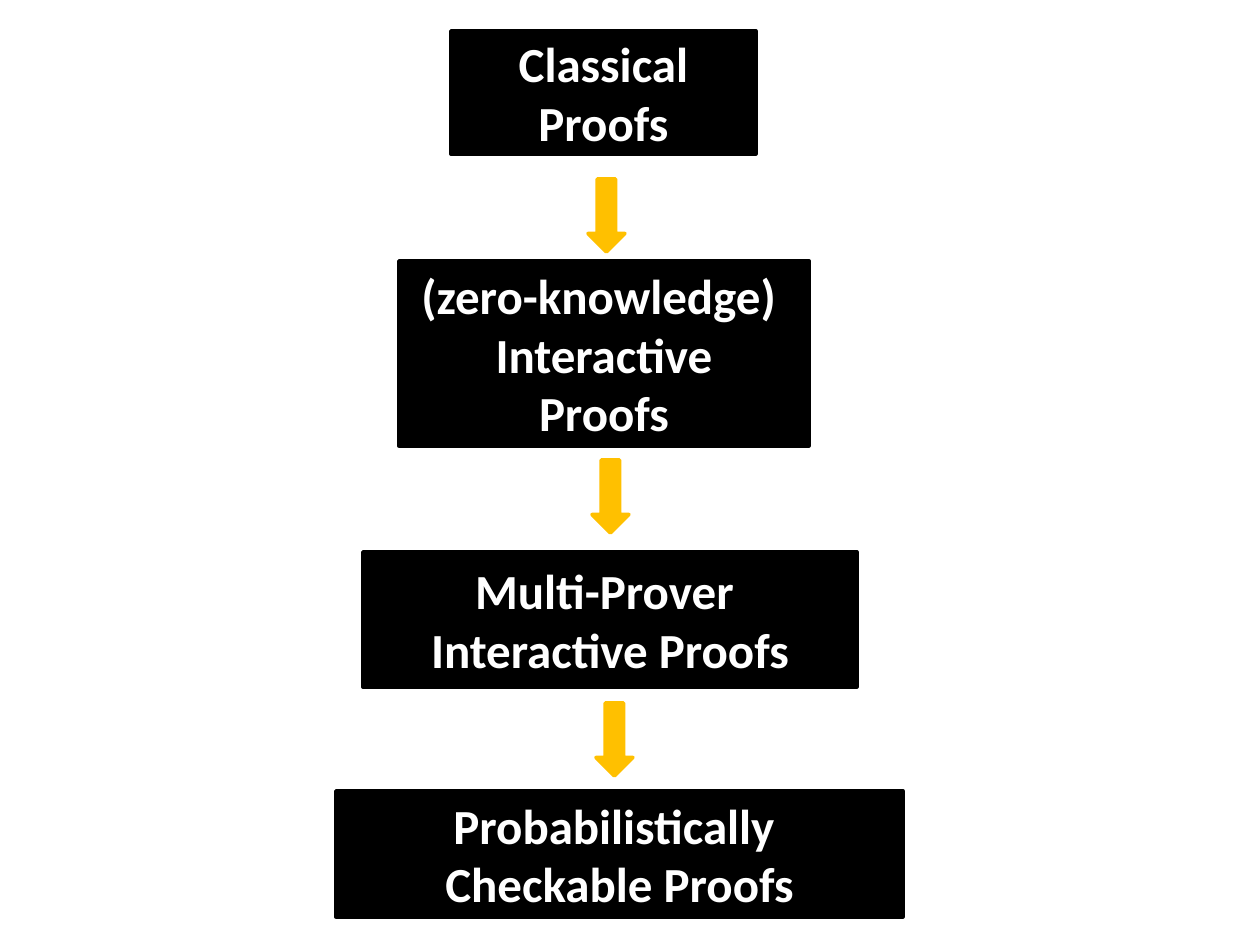
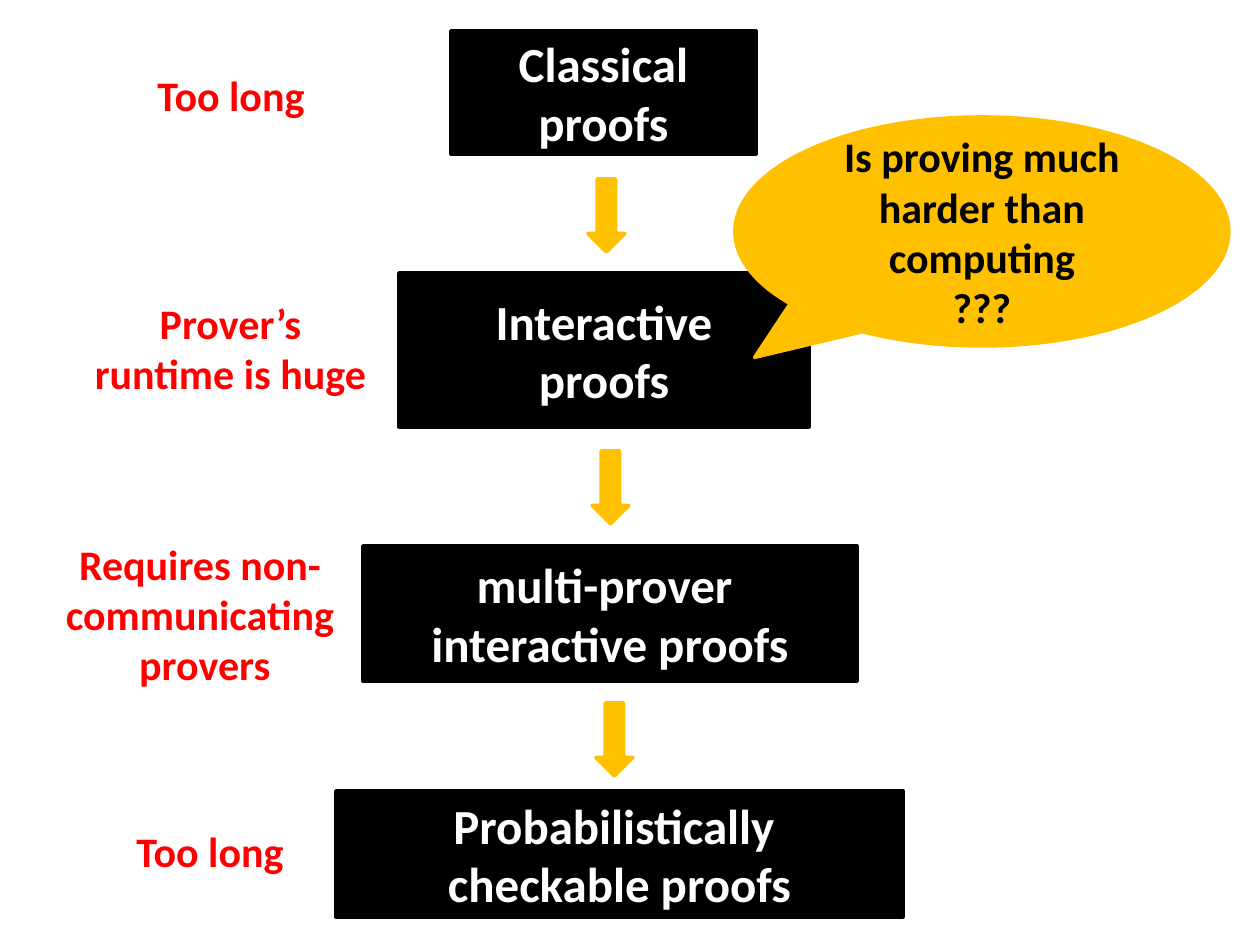
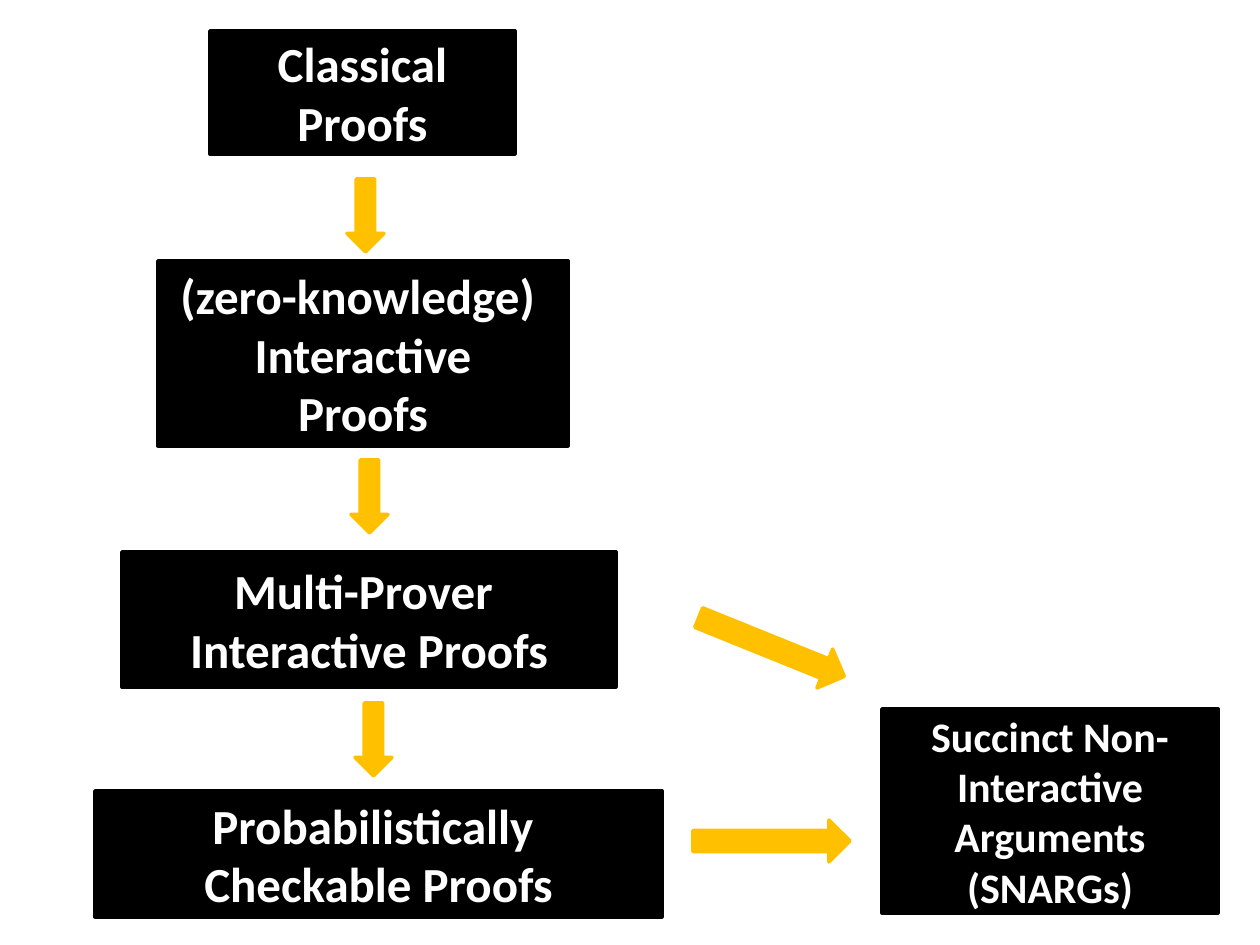
import pptx
import pptx.util
import pptx.dml.color
import pptx.enum.shapes
import pptx.enum.text

SCALE = 914400 // 126  # EMU per pixel
KIND = pptx.enum.shapes.MSO_SHAPE
BLACK, WHITE, GOLD, RED = "000000", "FFFFFF", "FFC000", "FF0000"

# Content: chain steps, top to bottom, one list of paragraphs each
TITLED = [
    ["Classical Proofs"],
    ["(zero-knowledge)  Interactive", "Proofs"],
    ["Multi-Prover ", "Interactive Proofs"],
    ["Probabilistically ", "Checkable Proofs"],
]
PLAIN = [
    ["Classical proofs"],
    ["Interactive", "proofs"],
    ["multi-prover ", "interactive proofs"],
    ["Probabilistically ", "checkable proofs"],
]
FLAWS = [
    ("Too long", (126, 63, 210, 63)),
    ("Prover\u2019s runtime is huge", (73, 291, 315, 115)),
    ("Requires non-communicating  provers", (53, 532, 294, 165)),
    ("Too long", (105, 819, 210, 63)),
]
DOUBT = ["Is proving much harder than computing", "???"]
SNARG = ["Succinct Non-Interactive Arguments", "(SNARGs)"]

# Layout: left and width of the steps, then top and height by version
SPANS = [(451, 305), (399, 410), (363, 494), (336, 567)]
TALL = [(31, 123), (261, 185), (552, 135), (791, 126)]
SHORT = [(31, 123), (273, 154), (546, 135), (791, 126)]
SHIFT = -241  # moves the chain left to make room for the last step


def paint(text):
    return pptx.dml.color.RGBColor.from_string(text)


def place(box):
    return [pptx.util.Emu(v * SCALE) for v in box]


def write(frame, lines, size, color):
    frame.word_wrap = True
    for i, line in enumerate(lines):
        para = frame.paragraphs[0] if i == 0 else frame.add_paragraph()
        para.text = line
        para.alignment = pptx.enum.text.PP_ALIGN.CENTER
        font = para.font
        font.name, font.bold = "Calibri", True
        font.size = pptx.util.Pt(size)
        font.color.rgb = paint(color)


def draw(slide, kind, box, fill, lines=(), size=28, color=WHITE):
    shape = slide.shapes.add_shape(kind, *place(box))
    shape.shadow.inherit = False
    shape.fill.solid()
    shape.fill.fore_color.rgb = paint(fill)
    shape.line.color.rgb = paint(fill)
    shape.line.width = pptx.util.Pt(2)
    shape.text_frame.vertical_anchor = pptx.enum.text.MSO_ANCHOR.MIDDLE
    write(shape.text_frame, lines, size, color)
    return shape


def chain(slide, steps, rows, drops, shift=0):
    for i, (lines, (x, w), (y, h)) in enumerate(zip(steps, SPANS, rows)):
        draw(slide, KIND.RECTANGLE, (x + shift, y, w, h), BLACK, lines)
        if i < len(drops):
            spot = (588 + 4 * i + shift, drops[i], 37, 73)
            draw(slide, KIND.DOWN_ARROW, spot, GOLD)


deck = pptx.Presentation()
deck.slide_width, deck.slide_height = place((1260, 945))
first, second, third = [
    deck.slides.add_slide(deck.slide_layouts[6]) for _ in range(3)
]

# Slide 1: the chain of proof systems
chain(first, TITLED, TALL, (179, 460, 703))

# Slide 2: the flaw of each system
chain(second, PLAIN, SHORT, (179, 451, 703))
for text, box in FLAWS:
    note = second.shapes.add_textbox(*place(box)).text_frame
    write(note, [text], 24, RED)
    note.auto_size = pptx.enum.text.MSO_AUTO_SIZE.SHAPE_TO_FIT_TEXT
bubble = draw(second, KIND.OVAL_CALLOUT, (735, 117, 494, 229), GOLD,
              DOUBT, 24, BLACK)
bubble.adjustments[0], bubble.adjustments[1] = -0.46, 0.55

# Slide 3: the chain leads on to SNARGs
chain(third, TITLED, TALL, (179, 460, 703), SHIFT)
for top, turn in ((820, 0), (626, 22)):
    arrow = draw(third, KIND.RIGHT_ARROW, (693, top, 157, 42), GOLD)
    arrow.rotation = turn
draw(third, KIND.RECTANGLE, (882, 709, 336, 204), BLACK, SNARG, 24)

deck.save("out.pptx")
